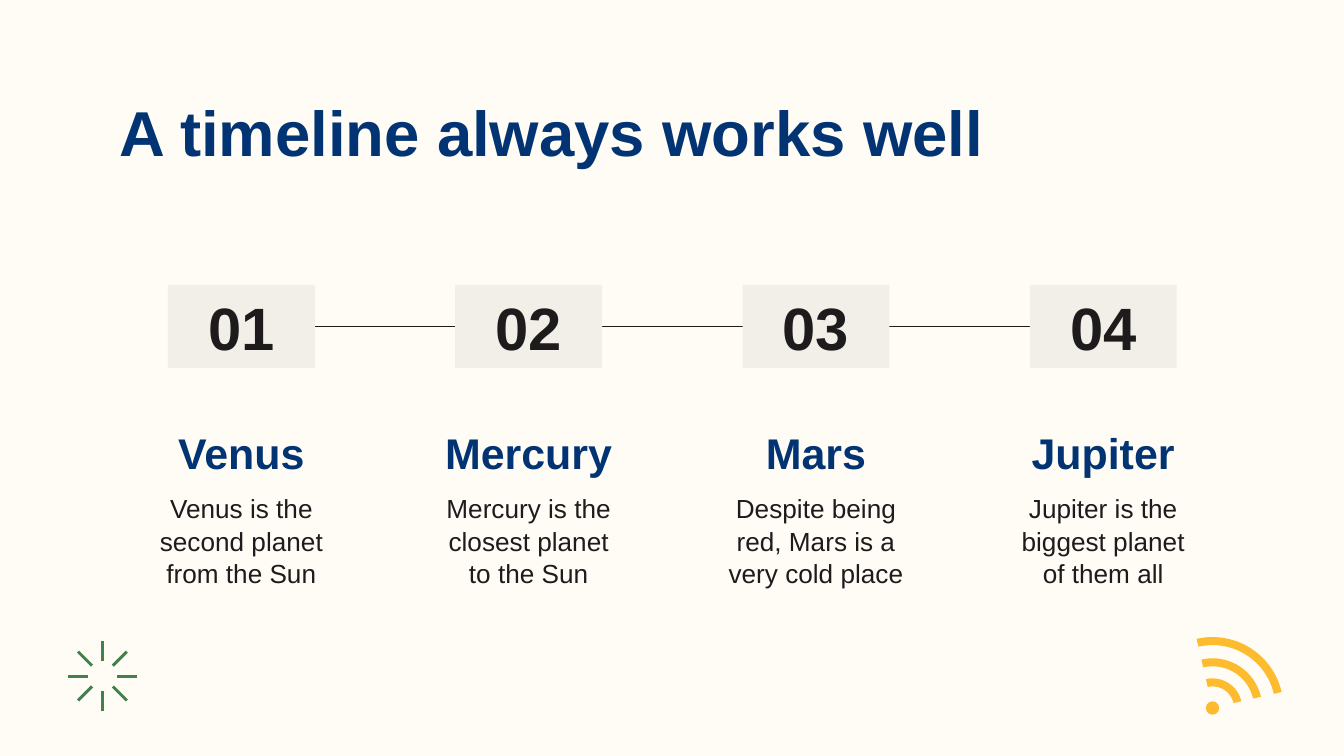
from math import cos, sin, radians

from lxml.etree import SubElement
from pptx import Presentation
from pptx.dml.color import RGBColor
from pptx.enum.shapes import MSO_CONNECTOR, MSO_SHAPE
from pptx.enum.text import MSO_ANCHOR, MSO_AUTO_SIZE, PP_ALIGN
from pptx.oxml.ns import qn
from pptx.util import Pt

CREAM = RGBColor(0xFF, 0xFC, 0xF6)
NAVY = RGBColor(0x02, 0x34, 0x73)
INK = RGBColor(0x1D, 0x1B, 0x1C)
SAND = RGBColor(0xF2, 0xEF, 0xE8)
YELLOW = RGBColor(0xFD, 0xBC, 0x2F)
GREEN = RGBColor(0x44, 0x80, 0x4A)


def write(shape, text, size, color, bold, align, anchor, spacing=1.0):
    tf = shape.text_frame
    frame_format = {
        "word_wrap": True, "auto_size": MSO_AUTO_SIZE.NONE, "vertical_anchor": anchor,
        "margin_left": Pt(7.2), "margin_right": Pt(7.2),
        "margin_top": Pt(7.2), "margin_bottom": Pt(7.2),
    }
    for name, value in frame_format.items():
        setattr(tf, name, value)
    p = tf.paragraphs[0]
    p.alignment = align
    p.line_spacing = spacing
    r = p.add_run()
    r.text = text
    for name, value in {"name": "Arial", "size": Pt(size), "bold": bold}.items():
        setattr(r.font, name, value)
    r.font.color.rgb = color


def add_line(x1, y1, x2, y2, color, width):
    line = s.shapes.add_connector(MSO_CONNECTOR.STRAIGHT, Pt(x1), Pt(y1), Pt(x2), Pt(y2))
    line.line.color.rgb = color
    line.line.width = Pt(width)
    SubElement(line._element.spPr, qn("a:effectLst"))


prs = Presentation()
prs.slide_width, prs.slide_height = Pt(720), Pt(405)
s = prs.slides.add_slide(prs.slide_layouts[5])
s.background.fill.solid()
s.background.fill.fore_color.rgb = CREAM

# Title
title = s.shapes.title
title.left, title.top, title.width, title.height = Pt(56.7), Pt(42.5), Pt(607), Pt(44)
write(title, "A timeline always works well", 34, NAVY, True, PP_ALIGN.LEFT, MSO_ANCHOR.TOP)

# Timeline: one column per planet
planets = [
    ("Venus", "Venus is the second planet from the Sun"),
    ("Mercury", "Mercury is the closest planet to the Sun"),
    ("Mars", "Despite being red, Mars is a very cold place"),
    ("Jupiter", "Jupiter is the biggest planet of them all"),
]
BOX_LEFT, BOX_TOP, BOX_W, BOX_H = 90, 152.7, 78.7, 44.5
PITCH, TEXT_W = 153.9, 112.3

for i, (planet, description) in enumerate(planets):
    left = BOX_LEFT + i * PITCH
    text_left = left + (BOX_W - TEXT_W) / 2

    # Link to the next number
    if i < len(planets) - 1:
        middle = BOX_TOP + BOX_H / 2
        add_line(left + BOX_W, middle, left + PITCH, middle, INK, 0.75)

    # Number
    box = s.shapes.add_shape(MSO_SHAPE.RECTANGLE, Pt(left), Pt(BOX_TOP), Pt(BOX_W), Pt(BOX_H))
    box.shadow.inherit = False
    box.fill.solid()
    box.fill.fore_color.rgb = SAND
    box.line.fill.background()
    write(box, f"{i + 1:02}", 32, INK, True, PP_ALIGN.CENTER, MSO_ANCHOR.MIDDLE)

    # Name and description
    name_box = s.shapes.add_textbox(Pt(text_left), Pt(233.3), Pt(TEXT_W), Pt(30.2))
    write(name_box, planet, 23, NAVY, True, PP_ALIGN.CENTER, MSO_ANCHOR.BOTTOM)
    body = s.shapes.add_textbox(Pt(text_left), Pt(255.6), Pt(TEXT_W), Pt(64))
    write(body, description, 14, INK, False, PP_ALIGN.CENTER, MSO_ANCHOR.TOP, 1.05)

# Signal icon: three bands and a dot around one centre
SIGNAL_X, SIGNAL_Y, BAND = 649.6, 379.3, 4.3
signal = []
for radius in (38, 26.6, 15.8):
    angles = [radians(a) for a in range(-103, -11, 3)]
    edge = [(radius, a) for a in angles] + [(radius - BAND, a) for a in reversed(angles)]
    points = [(100 * (SIGNAL_X + d * cos(a)), 100 * (SIGNAL_Y + d * sin(a))) for d, a in edge]
    builder = s.shapes.build_freeform(*points[0], scale=Pt(1) / 100)
    builder.add_line_segments(points[1:], close=True)
    signal.append(builder.convert_to_shape())
DOT = 7.2
signal.append(s.shapes.add_shape(
    MSO_SHAPE.OVAL, Pt(SIGNAL_X - DOT / 2), Pt(SIGNAL_Y - DOT / 2), Pt(DOT), Pt(DOT)))
for part in signal:
    part.shadow.inherit = False
    part.fill.solid()
    part.fill.fore_color.rgb = YELLOW
    part.line.fill.background()

# Starburst: eight rays
STAR_X, STAR_Y, INNER, OUTER = 54.9, 362.2, 7.9, 18.5
for k in range(8):
    dx, dy = cos(radians(45 * k)), sin(radians(45 * k))
    add_line(STAR_X + INNER * dx, STAR_Y + INNER * dy,
             STAR_X + OUTER * dx, STAR_Y + OUTER * dy, GREEN, 1.58)

prs.save("out.pptx")
